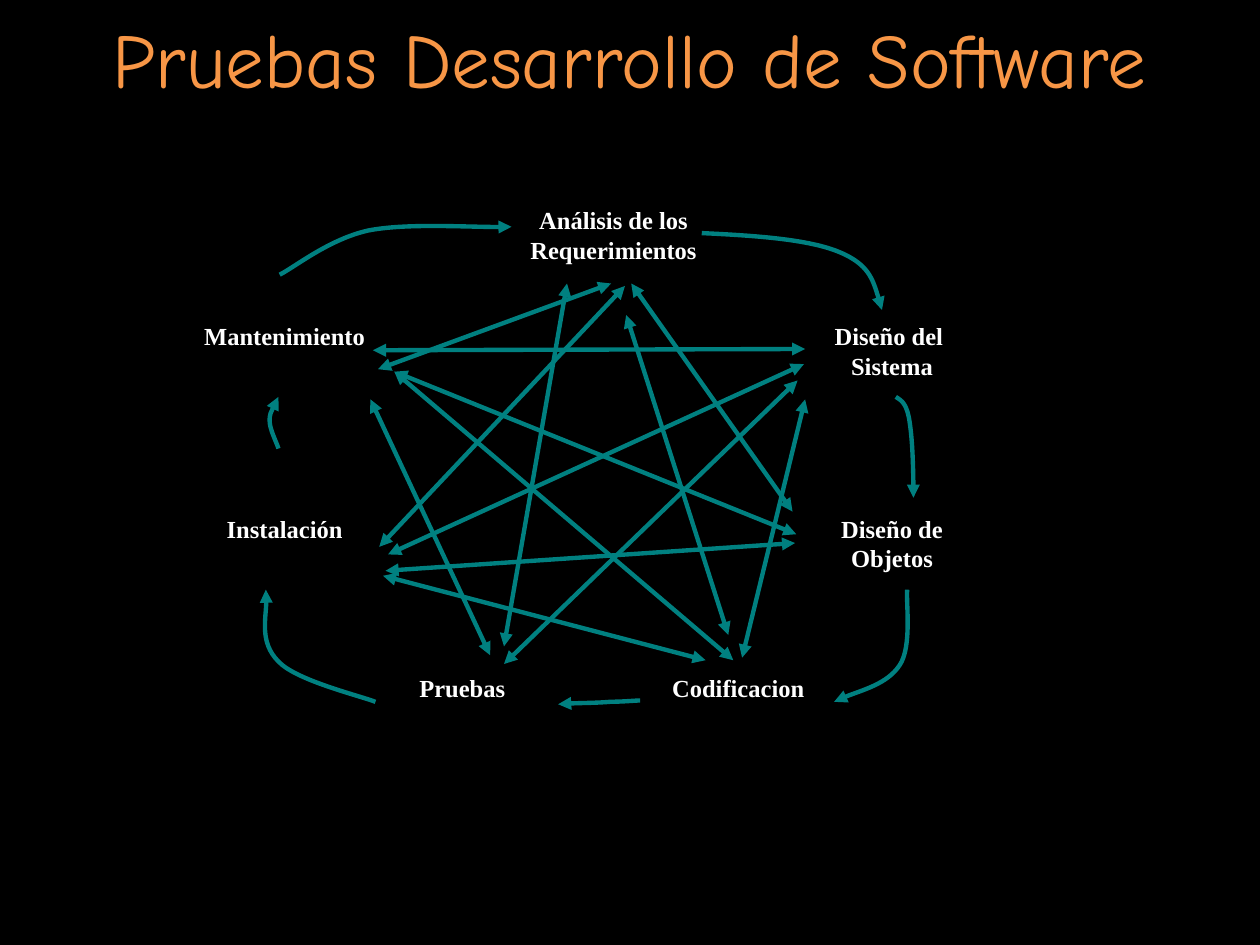
import dataclasses

import pptx
import pptx.dml.color
import pptx.enum.shapes
import pptx.enum.text
import pptx.oxml.ns
import pptx.oxml.xmlchemy
import pptx.util

BLACK = pptx.dml.color.RGBColor(0x00, 0x00, 0x00)
WHITE = pptx.dml.color.RGBColor(0xFF, 0xFF, 0xFF)
TEAL = pptx.dml.color.RGBColor(0x00, 0x80, 0x80)
ORANGE = pptx.dml.color.RGBColor(0xF7, 0x96, 0x46)

SLIDE_WIDTH = pptx.util.Inches(10)
SLIDE_HEIGHT = pptx.util.Inches(7.5)
COLUMN = SLIDE_WIDTH / 10
ROW = SLIDE_HEIGHT / 7.5
LINE_WIDTH = pptx.util.Pt(2.5)

LEFT_COLUMN, RIGHT_COLUMN = 1.56, 6.38
UPPER_ROW, MIDDLE_ROW, LOWER_ROW = 2.5, 4.03, 5.29

Point = tuple[float, float]


@dataclasses.dataclass(frozen=True)
class Phase:
    text: str
    column: float
    row: float
    columns: float = 1.4
    rows: float = 0.6


@dataclasses.dataclass(frozen=True)
class Link:
    start: Point
    end: Point


@dataclasses.dataclass(frozen=True)
class CurvedArrow:
    start: Point
    controls_and_ends: tuple[Point, ...]


PHASES = (
    Phase("Análisis de los\nRequerimientos", 4.11, 1.58, 1.52, 0.57),
    Phase("Diseño del \nSistema", RIGHT_COLUMN, UPPER_ROW),
    Phase("Diseño de\nObjetos", RIGHT_COLUMN, MIDDLE_ROW),
    Phase("Codificacion", 5.16, LOWER_ROW),
    Phase("Pruebas", 2.97, LOWER_ROW),
    Phase("Instalación", LEFT_COLUMN, MIDDLE_ROW),
    Phase("Mantenimiento", LEFT_COLUMN, UPPER_ROW),
)

CYCLE = (
    CurvedArrow((2.21, 3.56), ((2.2, 3.52), (2.14, 3.41), (2.14, 3.34),
                               (2.14, 3.28), (2.19, 3.19), (2.21, 3.15))),
    CurvedArrow((7.11, 3.15), ((7.16, 3.18), (7.2, 3.21), (7.22, 3.35),
                               (7.24, 3.48), (7.25, 3.71), (7.25, 3.95))),
    CurvedArrow((5.57, 1.85), ((6, 1.87), (6.42, 1.9), (6.66, 2),
                               (6.9, 2.1), (6.95, 2.28), (7, 2.46))),
    CurvedArrow((5.08, 5.56), ((5.04, 5.56), (4.95, 5.57), (4.85, 5.57),
                               (4.74, 5.58), (4.52, 5.58), (4.43, 5.59))),
    CurvedArrow((7.2, 4.68), ((7.19, 4.78), (7.24, 5.13), (7.14, 5.28),
                              (7.04, 5.43), (6.73, 5.51), (6.62, 5.57))),
    CurvedArrow((2.98, 5.57), ((2.85, 5.52), (2.35, 5.4), (2.21, 5.25),
                               (2.06, 5.1), (2.13, 4.8), (2.11, 4.68))),
    CurvedArrow((2.22, 2.18), ((2.34, 2.12), (2.61, 1.9), (2.92, 1.83),
                               (3.22, 1.77), (3.82, 1.81), (4.06, 1.8))),
)

LINKS = (
    Link((2.96, 2.78), (6.39, 2.77)),
    Link((3, 2.93), (4.85, 2.25)),
    Link((3.13, 2.95), (6.32, 4.24)),
    Link((3.13, 2.95), (5.82, 5.24)),
    Link((2.94, 3.17), (3.89, 5.2)),
    Link((3.01, 4.34), (4.96, 2.27)),
    Link((3.08, 4.4), (6.38, 2.89)),
    Link((3.06, 4.53), (6.31, 4.31)),
    Link((3.04, 4.57), (5.6, 5.24)),
    Link((5.01, 2.25), (6.29, 4.06)),
    Link((4.97, 2.5), (5.78, 5.04)),
    Link((4.5, 2.25), (4, 5.13)),
    Link((4, 5.27), (6.33, 3.02)),
    Link((5.89, 5.22), (6.39, 3.17)),
)


def place(point: Point) -> tuple[int, int]:
    return round(point[0] * COLUMN), round(point[1] * ROW)


def add_element(parent, tag: str, **attributes: str):
    element = pptx.oxml.xmlchemy.OxmlElement(tag)
    for name, value in attributes.items():
        element.set(name, value)
    parent.append(element)
    return element


def style_line(line, color: pptx.dml.color.RGBColor) -> None:
    line.color.rgb = color
    line.width = LINE_WIDTH


def write_text(text_frame, text: str, font_name: str, size: float,
               color: pptx.dml.color.RGBColor, bold: bool) -> None:
    text_frame.text = text
    for paragraph in text_frame.paragraphs:
        paragraph.alignment = pptx.enum.text.PP_ALIGN.CENTER
        for run in paragraph.runs:
            run.font.name = font_name
            run.font.size = pptx.util.Pt(size)
            run.font.color.rgb = color
            run.font.bold = bold


def add_title(slide, text: str) -> None:
    title = slide.shapes.add_textbox(0, 0, SLIDE_WIDTH, round(0.92 * ROW))
    title.text_frame.word_wrap = True
    title.text_frame.vertical_anchor = pptx.enum.text.MSO_ANCHOR.MIDDLE
    write_text(title.text_frame, text, "Comic Neue", 44, ORANGE, False)


def add_phase(slide, phase: Phase) -> None:
    shape = slide.shapes.add_shape(
        pptx.enum.shapes.MSO_SHAPE.RECTANGLE,
        *place((phase.column, phase.row)), *place((phase.columns, phase.rows)))
    shape.shadow.inherit = False
    shape.fill.background()
    style_line(shape.line, BLACK)
    shape.text_frame.word_wrap = False
    shape.text_frame.vertical_anchor = pptx.enum.text.MSO_ANCHOR.TOP
    write_text(shape.text_frame, phase.text, "Times New Roman", 14, WHITE, True)


def add_curved_arrow(slide, arrow: CurvedArrow) -> None:
    builder = slide.shapes.build_freeform(*place(arrow.start), scale=1.0)
    builder.add_line_segments(
        [place(point) for point in arrow.controls_and_ends], close=False)
    shape = builder.convert_to_shape()
    shape.shadow.inherit = False
    shape.fill.background()
    style_line(shape.line, TEAL)
    outline = next(shape.element.iter(pptx.oxml.ns.qn("a:path")))
    segments = outline.findall(pptx.oxml.ns.qn("a:lnTo"))
    for first in range(0, len(segments), 3):
        curve = add_element(outline, "a:cubicBezTo")
        for segment in segments[first:first + 3]:
            curve.append(segment[0])
            outline.remove(segment)
    line = shape.element.spPr.find(pptx.oxml.ns.qn("a:ln"))
    add_element(line, "a:tailEnd", type="triangle")


def add_link(slide, link: Link) -> None:
    connector = slide.shapes.add_connector(
        pptx.enum.shapes.MSO_CONNECTOR.STRAIGHT,
        *place(link.start), *place(link.end))
    style_line(connector.line, TEAL)
    properties = connector.element.spPr
    line = properties.find(pptx.oxml.ns.qn("a:ln"))
    for arrowhead in ("a:headEnd", "a:tailEnd"):
        add_element(line, arrowhead, type="triangle")
    add_element(properties, "a:effectLst")


def main() -> None:
    presentation = pptx.Presentation()
    presentation.slide_width = SLIDE_WIDTH
    presentation.slide_height = SLIDE_HEIGHT
    slide = presentation.slides.add_slide(presentation.slide_layouts[6])
    slide.background.fill.solid()
    slide.background.fill.fore_color.rgb = BLACK
    add_title(slide, "Pruebas Desarrollo de Software")
    for phase in PHASES:
        add_phase(slide, phase)
    for arrow in CYCLE:
        add_curved_arrow(slide, arrow)
    for link in LINKS:
        add_link(slide, link)
    presentation.save("out.pptx")


if __name__ == "__main__":
    main()
